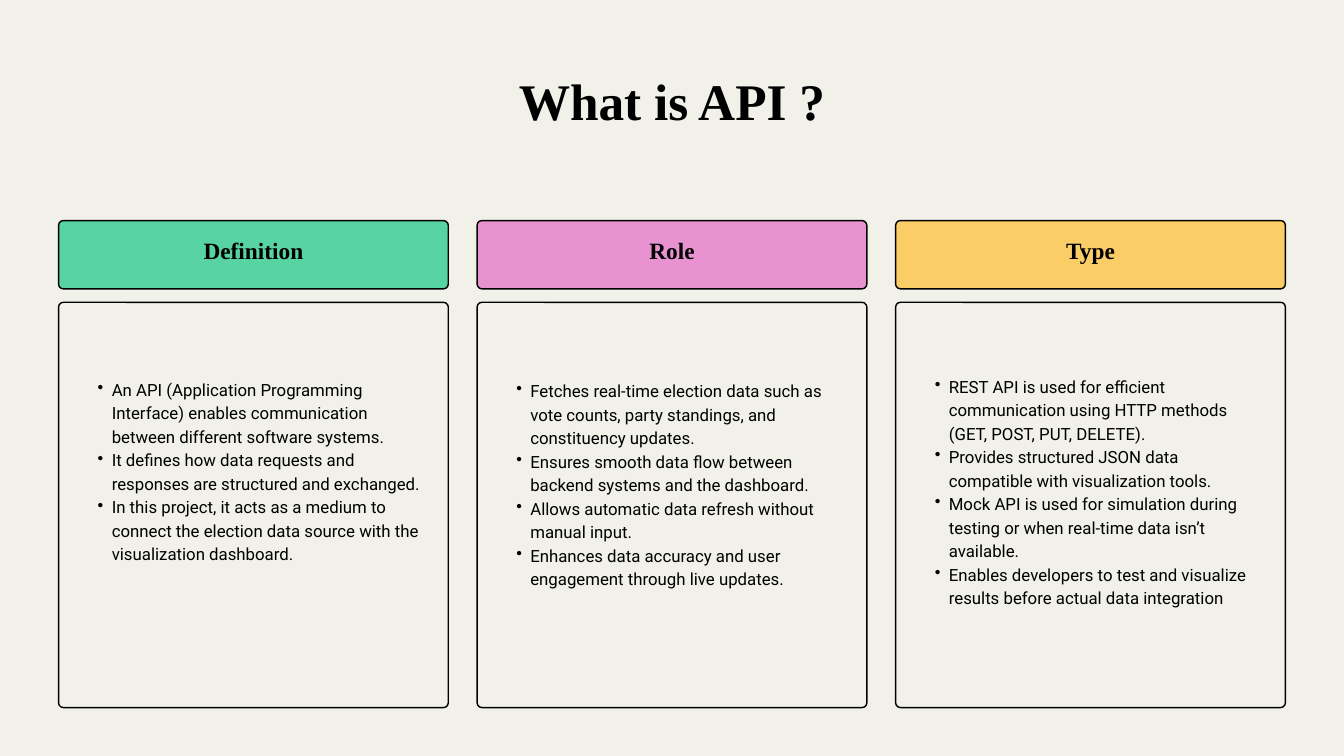
"""Build a slide that explains APIs in three headed columns."""
import pptx
import pptx.dml.color
import pptx.enum.shapes
import pptx.enum.text
import pptx.oxml.ns
import pptx.util
from lxml import etree

Cm, Pt = pptx.util.Cm, pptx.util.Pt
RGB = pptx.dml.color.RGBColor.from_string
ALIGN, ANCHOR = pptx.enum.text.PP_ALIGN, pptx.enum.text.MSO_ANCHOR

TITLE = "What is API ?"
COLUMNS = [
    {"head": "Definition", "fill": "58D3A2", "top": 14.22, "height": 8.74, "points": [
        "An API (Application Programming Interface) enables communication between different software systems.",
        "It defines how data requests and responses are structured and exchanged.",
        "In this project, it acts as a medium to connect the election data source with the visualization dashboard.",
    ]},
    {"head": "Role", "fill": "E992D1", "top": 14.27, "height": 8.92, "points": [
        "Fetches real-time election data such as vote counts, party standings, and constituency updates.",
        "Ensures smooth data flow between backend systems and the dashboard.",
        "Allows automatic data refresh without manual input.",
        "Enhances data accuracy and user engagement through live updates.",
    ]},
    {"head": "Type", "fill": "FACD66", "top": 14.1, "height": 9.6, "points": [
        "REST API is used for efficient communication using HTTP methods (GET, POST, PUT, DELETE).",
        "Provides structured JSON data compatible with visualization tools.",
        "Mock API is used for simulation during testing or when real-time data isn’t available.",
        "Enables developers to test and visualize results before actual data integration",
    ]},
]

THEME = {
    "paper": "F1F1E9", "ink": "000000", "line": 1.5,
    "title": {"name": "Times New Roman", "size": Pt(55), "bold": True},
    "head": {"name": "Times New Roman", "size": Pt(25), "bold": True},
    "body": {"name": "Roboto", "size": Pt(18), "bold": False},
}
SLIDE_W, SLIDE_H = 50.8, 28.58
COL_W, GAP, INSET = 14.73, 1.09, 0.94
LEFT = (SLIDE_W - 3 * COL_W - 2 * GAP) / 2
HEAD_TOP, HEAD_H = 8.34, 2.58
CARD_TOP, CARD_H = 11.43, 15.32
RADIUS = 0.18


def set_frame(tf, anchor=ANCHOR.TOP, top=0, bottom=0):
    values = {"word_wrap": True, "auto_size": pptx.enum.text.MSO_AUTO_SIZE.NONE,
              "vertical_anchor": anchor, "margin_left": 0, "margin_right": 0,
              "margin_top": Cm(top), "margin_bottom": Cm(bottom)}
    for name, value in values.items():
        setattr(tf, name, value)


def write(p, text, style, spacing, align):
    p.alignment, p.line_spacing = align, Pt(spacing)
    r = p.add_run()
    r.text = text
    for name, value in THEME[style].items():
        setattr(r.font, name, value)
    r.font.color.rgb = RGB(THEME["ink"])


def add_panel(slide, left, top, height, fill):
    sp = slide.shapes.add_shape(pptx.enum.shapes.MSO_SHAPE.ROUNDED_RECTANGLE,
                                Cm(left), Cm(top), Cm(COL_W), Cm(height))
    sp.adjustments[0] = RADIUS / min(COL_W, height)
    sp.shadow.inherit = False
    sp.fill.solid()
    sp.fill.fore_color.rgb = RGB(fill)
    sp.line.color.rgb = RGB(THEME["ink"])
    sp.line.width = Pt(THEME["line"])
    return sp


def add_points(slide, left, column):
    sp = slide.shapes.add_textbox(Cm(left + INSET), Cm(column["top"]),
                                  Cm(COL_W - 2 * INSET + 0.03), Cm(column["height"]))
    tf = sp.text_frame
    set_frame(tf)
    for i, text in enumerate(column["points"]):
        p = tf.add_paragraph() if i else tf.paragraphs[0]
        write(p, text, "body", 25.2, ALIGN.LEFT)
        p.level = 1
        pPr = p._p.get_or_add_pPr()
        pPr.set("marL", str(Cm(1.07)))
        pPr.set("indent", str(-Cm(0.53)))
        etree.SubElement(pPr, pptx.oxml.ns.qn("a:buChar"), char="•")


def main():
    prs = pptx.Presentation()
    prs.slide_width, prs.slide_height = Cm(SLIDE_W), Cm(SLIDE_H)
    slide = prs.slides.add_slide(prs.slide_layouts.get_by_name("Title Only"))
    slide.background.fill.solid()
    slide.background.fill.fore_color.rgb = RGB(THEME["paper"])

    title = slide.shapes.title
    title.left, title.top, title.width, title.height = Cm(13.55), Cm(2.74), Cm(23.7), Cm(2.24)
    set_frame(title.text_frame)
    write(title.text_frame.paragraphs[0], TITLE, "title", 62.7, ALIGN.CENTER)

    for i, column in enumerate(COLUMNS):
        left = LEFT + i * (COL_W + GAP)
        head = add_panel(slide, left, HEAD_TOP, HEAD_H, column["fill"])
        set_frame(head.text_frame, ANCHOR.MIDDLE, 0.15, 0.64)
        write(head.text_frame.paragraphs[0], column["head"], "head", 35, ALIGN.CENTER)
        add_panel(slide, left, CARD_TOP, CARD_H, THEME["paper"])
        add_points(slide, left, column)

    prs.save("out.pptx")


if __name__ == "__main__":
    main()
